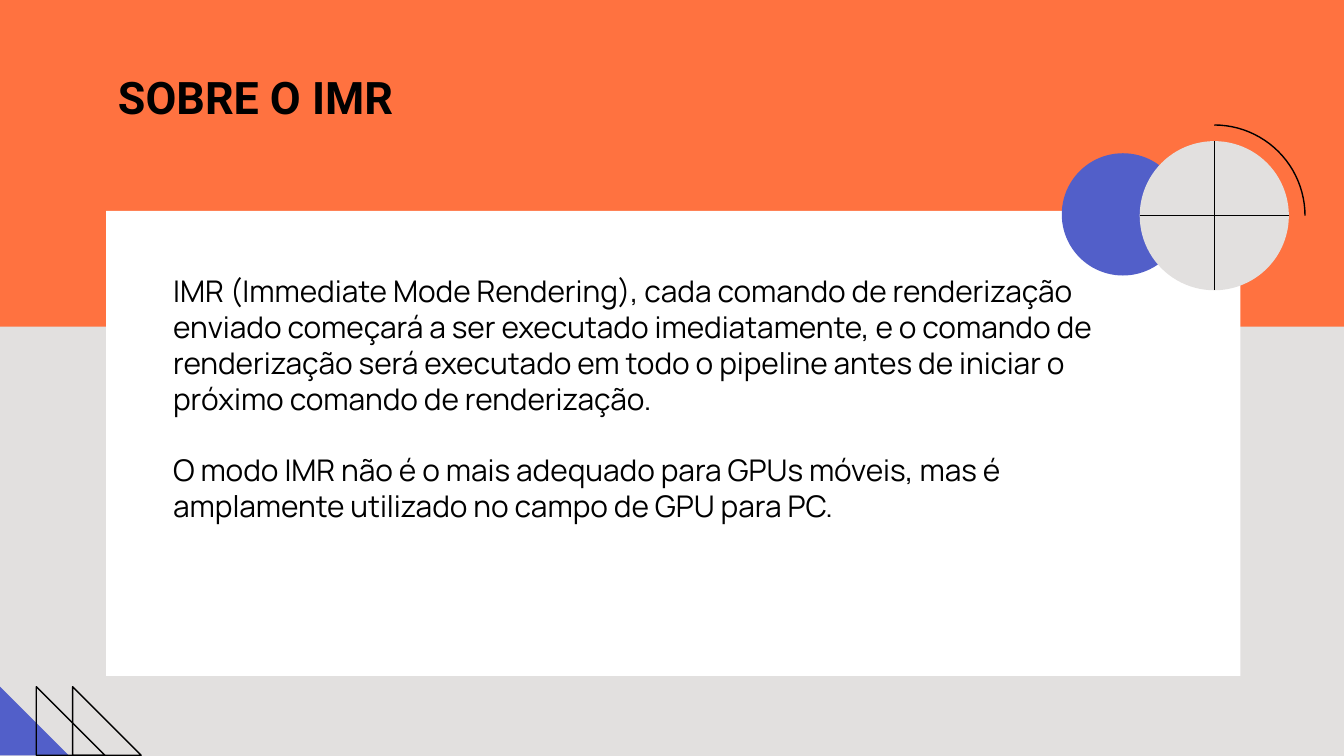
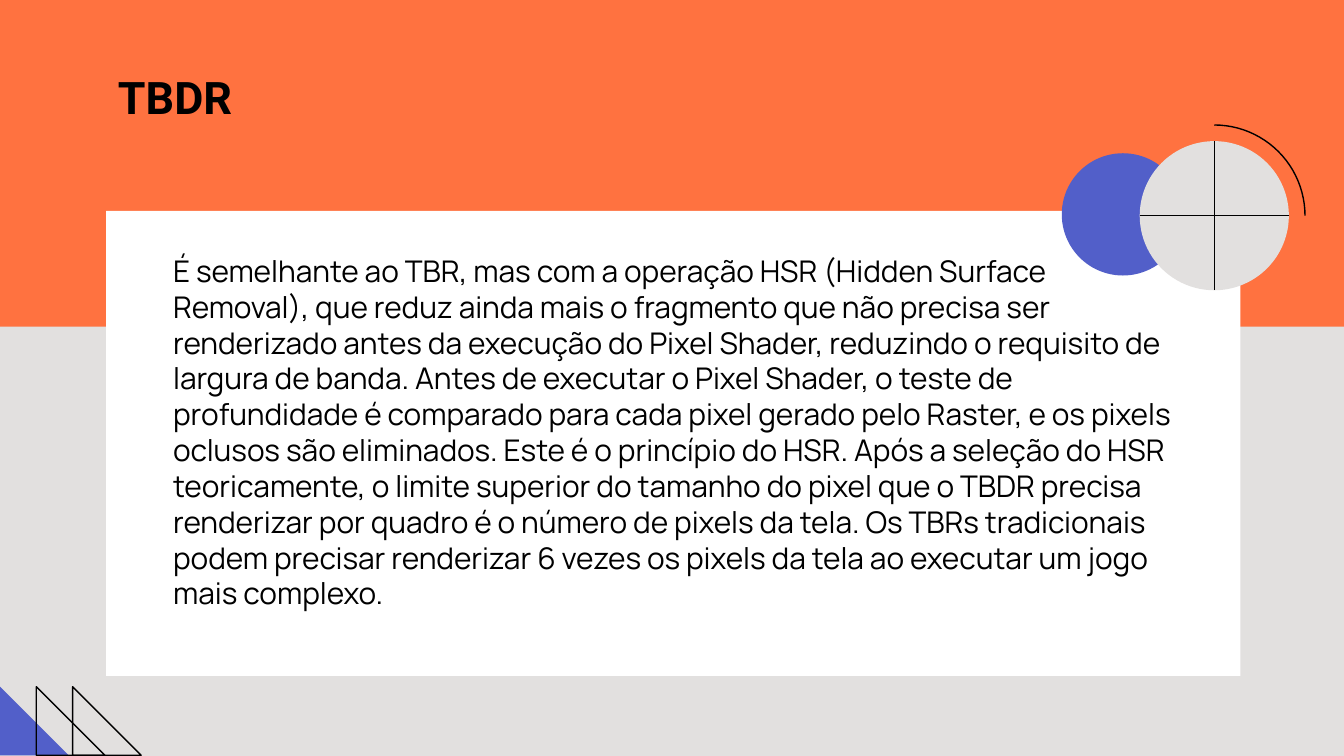
"""Build the two rendering-mode slides."""
import dataclasses

import lxml.etree
import pptx
import pptx.dml.color
import pptx.enum.shapes
import pptx.enum.text
import pptx.oxml.ns
import pptx.util

Inches = pptx.util.Inches
Pt = pptx.util.Pt
SHAPE = pptx.enum.shapes.MSO_SHAPE


@dataclasses.dataclass(frozen=True)
class Theme:
    """Colours, fonts and sizes shared by the slides."""
    ground: str = "E2E0DF"
    band: str = "FF7240"
    panel: str = "FFFFFF"
    accent: str = "525FC9"
    ink: str = "000000"
    title_font: str = "Roboto"
    body_font: str = "Manrope"
    title_size: float = 24
    body_size: float = 16
    paragraph_gap: float = 19.2
    stroke: float = 0.75


THEME = Theme()

SECTIONS = [
    ("SOBRE O IMR", 1.93, [
        "IMR (Immediate Mode Rendering), cada comando de renderização enviado "
        "começará a ser executado imediatamente, e o comando de renderização "
        "será executado em todo o pipeline antes de iniciar o próximo comando "
        "de renderização.",
        "O modo IMR não é o mais adequado para GPUs móveis, mas é amplamente "
        "utilizado no campo de GPU para PC.",
    ]),
    ("TBDR", 1.78, [
        "É semelhante ao TBR, mas com a operação HSR (Hidden Surface Removal), "
        "que reduz ainda mais o fragmento que não precisa ser renderizado antes "
        "da execução do Pixel Shader, reduzindo o requisito de largura de banda. "
        "Antes de executar o Pixel Shader, o teste de profundidade é comparado "
        "para cada pixel gerado pelo Raster, e os pixels oclusos são eliminados. "
        "Este é o princípio do HSR. Após a seleção do HSR teoricamente, o limite "
        "superior do tamanho do pixel que o TBDR precisa renderizar por quadro é "
        "o número de pixels da tela. Os TBRs tradicionais podem precisar "
        "renderizar 6 vezes os pixels da tela ao executar um jogo mais complexo.",
    ]),
]


def rgb(code):
    """Turn a hex code into a colour."""
    return pptx.dml.color.RGBColor.from_string(code)


def draw(shapes, preset, box, fill=None):
    """Add a preset shape, filled when a colour is given and outlined otherwise."""
    figure = shapes.add_shape(preset, *map(Inches, box))
    figure.shadow.inherit = False
    if fill:
        figure.fill.solid()
        figure.fill.fore_color.rgb = rgb(fill)
        figure.line.fill.background()
    else:
        figure.fill.background()
        figure.line.color.rgb = rgb(THEME.ink)
        figure.line.width = Pt(THEME.stroke)
    return figure


def draw_line(shapes, start, end):
    """Add a thin straight line without a shadow."""
    stroke = shapes.add_connector(pptx.enum.shapes.MSO_CONNECTOR.STRAIGHT,
                                  *map(Inches, (*start, *end)))
    stroke.line.color.rgb = rgb(THEME.ink)
    stroke.line.width = Pt(THEME.stroke)
    properties = stroke._element.find(pptx.oxml.ns.qn("p:spPr"))
    lxml.etree.SubElement(properties, pptx.oxml.ns.qn("a:effectLst"))


def write(slide, box, paragraphs, font, size, bold=False):
    """Place wrapped paragraphs in a text box."""
    frame = slide.shapes.add_textbox(*map(Inches, box)).text_frame
    frame.word_wrap = True
    frame.vertical_anchor = pptx.enum.text.MSO_ANCHOR.TOP
    frame.margin_left = frame.margin_right = Inches(0.1)
    frame.margin_top = frame.margin_bottom = Inches(0.1)
    frame.text = "\n".join(paragraphs)
    for index, paragraph in enumerate(frame.paragraphs):
        paragraph.font.name = font
        paragraph.font.size = Pt(size)
        paragraph.font.bold = bold
        paragraph.font.color.rgb = rgb(THEME.ink)
        if index:
            paragraph.space_before = Pt(THEME.paragraph_gap)


def add_backdrop(slide):
    """Colour the ground and lay the band and the panel on it."""
    slide.background.fill.solid()
    slide.background.fill.fore_color.rgb = rgb(THEME.ground)
    draw(slide.shapes, SHAPE.RECTANGLE, (-0.02, -0.01, 10.02, 2.44), THEME.band)
    draw(slide.shapes, SHAPE.RECTANGLE, (0.79, 1.57, 8.44, 3.46), THEME.panel)


def add_circles(slide, left, top, size):
    """Draw the crossed disc, its arc and the disc behind, in the arc's box."""
    shapes = slide.shapes.add_group_shape().shapes
    inset = 0.12
    disc = size - 2 * inset
    middle_x, middle_y = left + size / 2, top + size / 2
    draw(shapes, SHAPE.OVAL, (left - 0.46, top + 0.21, 0.91, 0.91), THEME.accent)
    arc = draw(shapes, SHAPE.ARC, (left, top, size, size))
    arc.adjustments[0], arc.adjustments[1] = 162, 0
    draw(shapes, SHAPE.OVAL, (left + inset, top + inset, disc, disc), THEME.ground)
    draw_line(shapes, (middle_x, top + inset), (middle_x, top + inset + disc))
    draw_line(shapes, (left + inset, middle_y), (left + inset + disc, middle_y))


def add_triangles(slide, left, top, size):
    """Draw one filled and two outlined triangles at equal steps."""
    shapes = slide.shapes.add_group_shape().shapes
    for step, fill in enumerate((THEME.accent, None, None)):
        draw(shapes, SHAPE.RIGHT_TRIANGLE, (left + 0.27 * step, top, size, size), fill)


def add_section(deck, title, body_top, paragraphs):
    """Build one slide with a title on the band and text on the panel."""
    slide = deck.slides.add_slide(deck.slide_layouts[6])
    add_backdrop(slide)
    write(slide, (0.78, 0.42, 8.44, 0.63), [title], THEME.title_font,
          THEME.title_size, bold=True)
    add_circles(slide, 8.36, 0.93, 1.35)
    write(slide, (1.19, body_top, 7.63, 2.75), paragraphs, THEME.body_font,
          THEME.body_size)
    add_triangles(slide, 0, 5.11, 0.51)


def main():
    """Build and save a widescreen deck."""
    deck = pptx.Presentation()
    deck.slide_width = Inches(10)
    deck.slide_height = deck.slide_width * 9 // 16
    for section in SECTIONS:
        add_section(deck, *section)
    deck.save("out.pptx")


if __name__ == "__main__":
    main()
